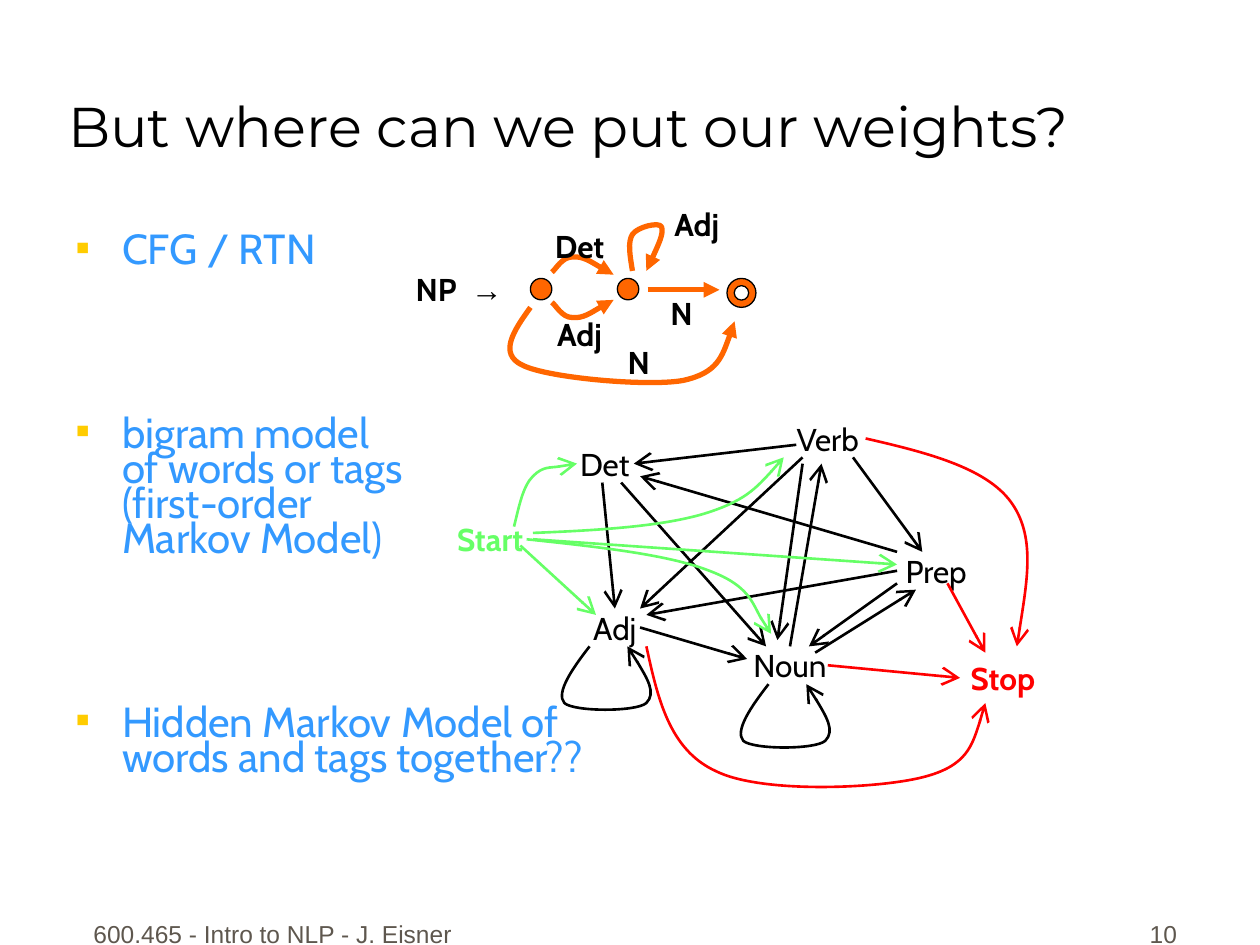
from lxml import etree
from pptx import Presentation
from pptx import util as u
from pptx.dml.color import RGBColor
from pptx.enum import shapes, text
from pptx.oxml.ns import qn

BLACK = RGBColor(0x00, 0x00, 0x00)
ORANGE = RGBColor(0xFF, 0x66, 0x00)
GREEN = RGBColor(0x66, 0xFF, 0x66)
RED = RGBColor(0xFF, 0x00, 0x00)
BLUE = RGBColor(0x33, 0x99, 0xFF)
GOLD = RGBColor(0xFF, 0xCC, 0x00)
GREY = RGBColor(0x5E, 0x57, 0x4E)
LEFT, CENTER, RIGHT = text.PP_ALIGN.LEFT, text.PP_ALIGN.CENTER, text.PP_ALIGN.RIGHT
MIDDLE, BOTTOM = text.MSO_ANCHOR.MIDDLE, text.MSO_ANCHOR.BOTTOM

TITLE = "But where can we put our weights?"
MODELS = [
    ["CFG / RTN"],
    ["bigram model", "of words or tags", "(first-order", "Markov Model)"],
    ["Hidden Markov Model of", "words and tags together??"],
]
MODEL_GAP = 84.5  # points
MODEL_INDENT = 0.37

# Noun phrase network: labels as (text, centre x, centre y)
NETWORK_LABELS = [("Det", 4.6, 1.95), ("Adj", 4.6, 2.65), ("Adj", 5.53, 1.78),
                  ("N", 5.41, 2.48), ("N", 5.07, 2.87)]
STATES = [(4.21, 2.21), (4.9, 2.21)]
STATE_SIZE, FINAL_SIZE = 0.17, 0.23
NETWORK_ARCS = [
    [(4.38, 2.4), (4.41, 2.42), (4.46, 2.52), (4.54, 2.52),
     (4.63, 2.53), (4.81, 2.41), (4.87, 2.38)],
    [(4.38, 2.16), (4.41, 2.14), (4.46, 2.04), (4.54, 2.04),
     (4.63, 2.03), (4.81, 2.15), (4.87, 2.18)],
    [(5.02, 2.15), (5, 2.03), (4.98, 1.92), (5.02, 1.86), (5.06, 1.8),
     (5.23, 1.76), (5.25, 1.8), (5.27, 1.85), (5.2, 2), (5.13, 2.15)],
    [(4.21, 2.44), (4.08, 2.62), (3.95, 2.81), (4.15, 2.9), (4.35, 3),
     (5.14, 3.07), (5.42, 3.02), (5.7, 2.96), (5.76, 2.76), (5.83, 2.55)],
]

# Bigram model: tags as (text, centre x, centre y, colour, bold)
TAGS = [
    ("Det", 4.8, 3.68, BLACK, False), ("Start", 3.89, 4.28, GREEN, True),
    ("Adj", 4.88, 4.98, BLACK, False), ("Noun", 6.27, 5.28, BLACK, False),
    ("Verb", 6.57, 3.48, BLACK, False), ("Prep", 7.43, 4.53, BLACK, False),
    ("Stop", 7.96, 5.38, RED, True),
]
STRAIGHT_MOVES = {
    BLACK: [
        ((4.78, 3.83), (4.88, 4.83)), ((4.93, 3.83), (6.08, 5.13)),
        ((5.08, 4.98), (5.93, 5.23)), ((6.47, 5.18), (7.27, 4.68)),
        ((6.27, 5.13), (6.52, 3.68)), ((6.37, 3.63), (5.08, 4.83)),
        ((6.77, 3.63), (7.32, 4.38)), ((6.32, 3.53), (5.03, 3.68)),
        ((6.37, 3.68), (6.17, 5.08)), ((7.12, 4.63), (6.42, 5.13)),
        ((7.12, 4.53), (5.13, 4.88)), ((7.12, 4.38), (5.08, 3.78)),
    ],
    GREEN: [((4.13, 4.33), (4.73, 4.88)), ((4.23, 4.28), (7.12, 4.48))],
    RED: [((6.57, 5.28), (7.62, 5.38)), ((7.52, 4.63), (7.82, 5.18))],
}
CURVED_MOVES = {
    GREEN: [
        [(4.18, 4.28), (4.74, 4.34), (5.3, 4.4), (5.63, 4.53),
         (5.95, 4.65), (6.04, 4.94), (6.12, 5.03)],
        [(4.23, 4.23), (4.74, 4.21), (5.24, 4.18), (5.58, 4.08),
         (5.91, 3.98), (6.07, 3.81), (6.22, 3.63)],
        [(4.08, 4.18), (4.12, 4.02), (4.15, 3.86), (4.23, 3.78),
         (4.31, 3.7), (4.52, 3.7), (4.58, 3.68)],
    ],
    RED: [
        [(6.87, 3.48), (7.35, 3.59), (7.82, 3.71), (8.02, 3.98),
         (8.22, 4.25), (8.14, 4.69), (8.07, 5.13)],
        [(5.13, 5.13), (5.22, 5.54), (5.31, 5.95), (5.68, 6.12), (6.04, 6.3),
         (6.96, 6.26), (7.32, 6.17), (7.68, 6.08), (7.75, 5.83), (7.82, 5.58)],
    ],
}
SELF_LOOP = [(0, 0), (-0.14, 0.18), (-0.27, 0.37), (-0.2, 0.45), (-0.12, 0.52),
             (0.37, 0.52), (0.45, 0.45), (0.53, 0.37), (0.42, 0.18), (0.3, 0)]
LOOP_STARTS = [(4.68, 5.13), (6.1, 5.43)]

FOOTERS = [("600.465 - Intro to NLP - J. Eisner", 0.58, 3.17, CENTER),
           ("10", 7.36, 2.08, RIGHT)]


def add_run(paragraph, words, size, color, font="Cabin", bold=False):
    run = paragraph.add_run()
    run.text = words
    run.font.size, run.font.name, run.font.bold = u.Pt(size), font, bold
    run.font.color.rgb = color


def add_box(left, top, width, height, align=LEFT, anchor=text.MSO_ANCHOR.TOP, wrap=True):
    frame = slide.shapes.add_textbox(*map(u.Inches, (left, top, width, height))).text_frame
    frame.word_wrap, frame.vertical_anchor = wrap, anchor
    frame.paragraphs[0].alignment = align
    return frame


def add_label(words, x, y, color=BLACK, bold=True):
    """Put one word centred on the point (x, y)."""
    frame = add_box(x - 0.45, y - 0.2, 0.9, 0.4, CENTER, MIDDLE, wrap=False)
    add_run(frame.paragraphs[0], words, 18, color, bold=bold)


def style_arrow(arrow, color, width, head):
    arrow.line.color.rgb, arrow.line.width = color, u.Pt(width)
    size = "lg" if head == "arrow" else "med"
    etree.SubElement(arrow.line._get_or_add_ln(), qn("a:tailEnd"),
                     type=head, w=size, len=size)


def add_straight(start, end, color, width=1.5, head="arrow"):
    arrow = slide.shapes.add_connector(
        shapes.MSO_CONNECTOR.STRAIGHT, *map(u.Inches, (*start, *end)))
    style_arrow(arrow, color, width, head)
    etree.SubElement(arrow._element.spPr, qn("a:effectLst"))


def add_curve(points, color, width=1.5, head="arrow"):
    """Draw a chain of cubic Bezier pieces: a start, then three points a piece."""
    start, *rest = [(u.Inches(x), u.Inches(y)) for x, y in points]
    builder = slide.shapes.build_freeform(*start)
    builder.add_line_segments(rest, close=False)
    curve = builder.convert_to_shape()
    segments = list(curve._element.iter(qn("a:lnTo")))
    for first in range(0, len(segments), 3):
        piece = segments[first:first + 3]
        bezier = etree.SubElement(piece[0].getparent(), qn("a:cubicBezTo"))
        for segment in piece:
            bezier.append(segment[0])
            segment.getparent().remove(segment)
    curve.fill.background()
    curve.shadow.inherit = False
    style_arrow(curve, color, width, head)


def add_state(kind, left, top, size):
    state = slide.shapes.add_shape(kind, *map(u.Inches, (left, top, size, size)))
    state.shadow.inherit = False
    state.fill.solid()
    state.fill.fore_color.rgb = ORANGE
    state.line.color.rgb, state.line.width = BLACK, u.Pt(0.75)
    return state


def add_bullet(paragraph):
    props = paragraph._p.get_or_add_pPr()
    props.set("marL", str(u.Inches(MODEL_INDENT)))
    props.set("indent", str(-u.Inches(MODEL_INDENT)))
    etree.SubElement(etree.SubElement(props, qn("a:buClr")), qn("a:srgbClr"), val=str(GOLD))
    etree.SubElement(props, qn("a:buFont"), typeface="Arial")
    etree.SubElement(props, qn("a:buChar"), char="▪")


prs = Presentation()
prs.slide_width, prs.slide_height = u.Inches(10), u.Inches(7.5)
slide = prs.slides.add_slide(prs.slide_layouts[5])

title = slide.shapes.title
title.left, title.top, title.width, title.height = map(u.Inches, (0.44, 0.06, 9.22, 1.25))
title.text_frame.vertical_anchor = BOTTOM
title.text_frame.auto_size = text.MSO_AUTO_SIZE.NONE
title.text_frame.paragraphs[0].alignment = LEFT
add_run(title.text_frame.paragraphs[0], TITLE, 32, BLACK, "Montserrat")

body = add_box(0.5, 1.83, 4.58, 5.17)
for index, lines in enumerate(MODELS):
    item = body.add_paragraph() if index else body.paragraphs[0]
    item.line_spacing = 0.7
    item.space_before = u.Pt(MODEL_GAP if index else 6)
    add_bullet(item)
    for number, line in enumerate(lines):
        if number:
            item.add_line_break()
        add_run(item, line, 24, BLUE)

for left, top in STATES:
    add_state(shapes.MSO_SHAPE.OVAL, left, top, STATE_SIZE)
add_state(shapes.MSO_SHAPE.DONUT, 5.77, 2.21, FINAL_SIZE).adjustments[0] = 0.25
for arc in NETWORK_ARCS:
    add_curve(arc, ORANGE, 3, "triangle")
add_straight((5.14, 2.3), (5.71, 2.3), ORANGE, 3, "triangle")
for label in NETWORK_LABELS:
    add_label(*label)
rule = add_box(3.2, 2.09, 1.1, 0.4).paragraphs[0]
stops = etree.SubElement(rule._p.get_or_add_pPr(), qn("a:tabLst"))
etree.SubElement(stops, qn("a:tab"), pos=str(u.Inches(0.44)), algn="l")
add_run(rule, "NP\t", 18, BLACK, bold=True)
add_run(rule, "→", 18, BLACK, "Arial", True)

for tag in TAGS:
    add_label(*tag)
for color, moves in STRAIGHT_MOVES.items():
    for start, end in moves:
        add_straight(start, end, color)
for x, y in LOOP_STARTS:
    add_curve([(x + dx, y + dy) for dx, dy in SELF_LOOP], BLACK)
for color, moves in CURVED_MOVES.items():
    for points in moves:
        add_curve(points, color)

for words, left, width, align in FOOTERS:
    footer = add_box(left, 7.08, width, 0.5, align, BOTTOM)
    add_run(footer.paragraphs[0], words, 14, GREY, "Arial")

prs.save("out.pptx")
